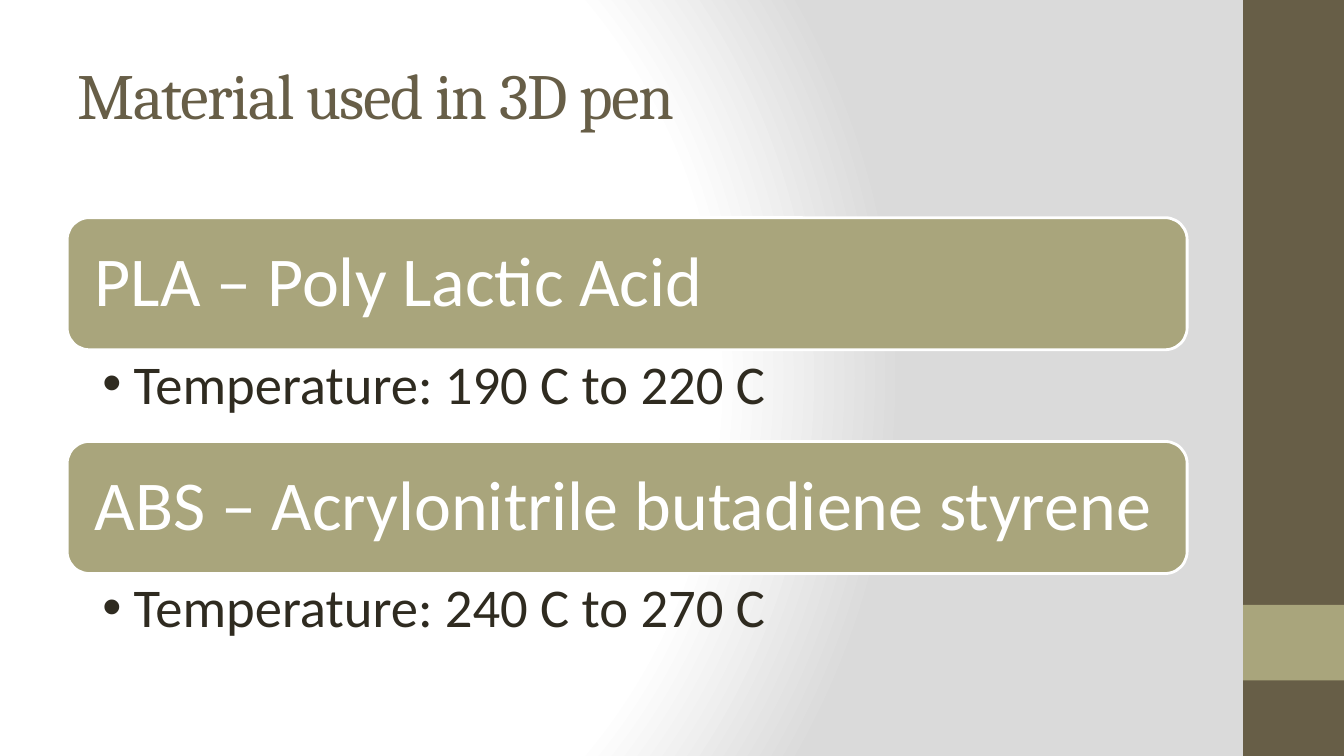
from pptx import Presentation as Deck
from pptx.dml.color import RGBColor as Rgb
from pptx.enum.shapes import MSO_SHAPE as Kind
from pptx.enum.text import MSO_ANCHOR as Anchor, MSO_AUTO_SIZE as Fit, PP_ALIGN as Align
from pptx.oxml import parse_xml
from pptx.oxml.ns import nsdecls
from pptx.util import Inches, Pt

HUES = {"bark": "675E47", "sage": "A9A57C", "ink": "2F2B20",
        "white": "FFFFFF", "mist": "DADADA"}
WIDE, HIGH = Inches(13.33), Inches(7.5)
LEFT, SPAN = 5, 83.33  # percent of the slide's width
TOP, STEP, BAR, LIST = 28.8, 29.6, 17.47, 12.13  # percent of its height
ITEMS = [("PLA – Poly Lactic Acid", "Temperature: 190 C to 220 C"),
         ("ABS – Acrylonitrile butadiene styrene", "Temperature: 240 C to 270 C")]


def hue(name):
    return Rgb.from_string(HUES[name])


def area(x, y, w, h):
    """Turn percentages of the slide into left, top, width and height."""
    return [int(part * side / 100)
            for part, side in zip((x, y, w, h), (WIDE, HIGH) * 2)]


def place(shape, *box):
    shape.left, shape.top, shape.width, shape.height = area(*box)


def block(slide, kind, fill, *box):
    shape = slide.shapes.add_shape(kind, *area(*box))
    shape.shadow.inherit = False
    shape.fill.solid()
    shape.fill.fore_color.rgb = hue(fill)
    shape.line.fill.background()
    return shape


def write(shape, text, font, size, color, anchor, pads):
    """Fill a shape with one left-aligned run; pads are inches."""
    frame = shape.text_frame
    frame.word_wrap = True
    frame.auto_size = Fit.NONE
    frame.vertical_anchor = anchor
    (frame.margin_left, frame.margin_top,
     frame.margin_right, frame.margin_bottom) = map(Inches, pads)
    para = frame.paragraphs[0]
    para.alignment = Align.LEFT
    para.space_before = Pt(0)
    run = para.add_run()
    run.text = text
    run.font.name = font
    run.font.size = Pt(size)
    run.font.color.rgb = hue(color)
    return para, run


def glow(slide):
    """Give the slide its round white-to-grey background."""
    stops = "".join(
        f'<a:gs pos="{pos}000"><a:srgbClr val="{HUES[name]}"/></a:gs>'
        for pos, name in ((0, "white"), (75, "white"), (100, "mist")))
    slide.element.cSld.insert(0, parse_xml(
        f'<p:bg {nsdecls("p", "a")}><p:bgPr><a:gradFill rotWithShape="1">'
        f'<a:gsLst>{stops}</a:gsLst><a:path path="circle">'
        '<a:fillToRect l="20000" t="50000" r="100000" b="50000"/></a:path>'
        '</a:gradFill><a:effectLst/></p:bgPr></p:bg>'))


def title(slide, text):
    shape = slide.shapes.title
    place(shape, LEFT, 4, SPAN, 16.67)
    _, run = write(shape, text, "Cambria", 46, "bark", Anchor.MIDDLE,
                   (0.1, 0.05, 0.1, 0.05))
    run.font._element.set("spc", "-100")


def banner(slide, text, top):
    shape = block(slide, Kind.ROUNDED_RECTANGLE, "sage", LEFT, top, SPAN, BAR)
    shape.line.color.rgb = hue("white")
    shape.line.width = Pt(2)
    para, _ = write(shape, text, "Calibri", 50, "white", Anchor.MIDDLE, (0.21,) * 4)
    para.line_spacing = 0.9


def bullet(shape, text, top):
    place(shape, LEFT, top, SPAN, LIST)
    para, _ = write(shape, text, "Calibri", 39, "ink", Anchor.TOP,
                    (0.35, 0.07, 0.39, 0.07))
    para.level = 1
    para.line_spacing = 0.9
    props = para._p.get_or_add_pPr()
    props.set("marL", str(Inches(0.31)))
    props.set("indent", str(-Inches(0.31)))
    props.append(parse_xml(f'<a:buChar {nsdecls("a")} char="•"/>'))


def main():
    deck = Deck()
    deck.slide_width, deck.slide_height = WIDE, HIGH
    slide = deck.slides.add_slide(deck.slide_layouts.get_by_name("Two Content"))
    glow(slide)
    block(slide, Kind.RECTANGLE, "bark", 92.5, 0, 7.5, 100)
    block(slide, Kind.RECTANGLE, "sage", 92.5, 80, 7.5, 10)
    title(slide, "Material used in 3D pen")
    for row, (name, note) in enumerate(ITEMS):
        top = TOP + row * STEP
        banner(slide, name, top)
        bullet(slide.placeholders[row + 1], note, top + BAR)
    deck.save("out.pptx")


if __name__ == "__main__":
    main()
